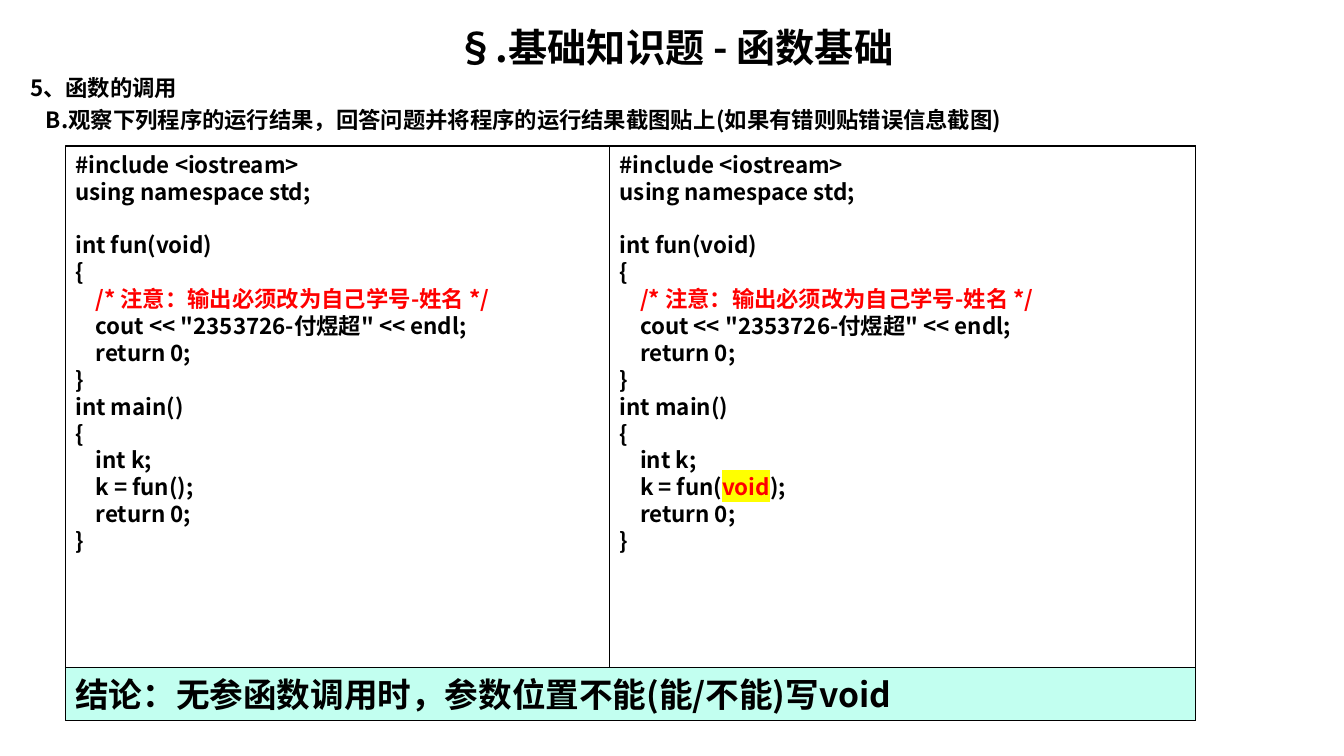
from dataclasses import dataclass

from lxml.etree import SubElement
from pptx import Presentation
from pptx.dml.color import RGBColor
from pptx.enum.shapes import MSO_SHAPE
from pptx.enum.text import MSO_ANCHOR, MSO_AUTO_SIZE, PP_ALIGN
from pptx.oxml.ns import qn
from pptx.util import Cm, Pt

FONT = "Noto Sans CJK SC"
COLORS = {"black": "000000", "red": "FF0000", "yellow": "FFFF00", "mint": "C2FFF0"}


@dataclass
class Span:
    text: str
    color: str = "black"
    highlight: str = ""


@dataclass
class Panel:
    left: float
    top: float
    width: float
    height: float
    lines: list[list[Span]]
    size: int = 16
    fill: str = ""
    anchor: MSO_ANCHOR = MSO_ANCHOR.TOP


def add_run(p, span: Span, size: int) -> None:
    r = p.add_run()
    r.text = span.text
    r.font.size = Pt(size)
    r.font.bold = True
    r.font.color.rgb = RGBColor.from_string(COLORS[span.color])
    rPr = r.font._element
    if span.highlight:
        mark = SubElement(rPr, qn("a:highlight"))
        SubElement(mark, qn("a:srgbClr"), val=COLORS[span.highlight])
    r.font.name = FONT
    SubElement(rPr, qn("a:ea"), typeface=FONT)


def write(tf, lines: list[list[Span]], size: int, gap: float = 0,
          align: PP_ALIGN = PP_ALIGN.LEFT, anchor: MSO_ANCHOR = MSO_ANCHOR.TOP) -> None:
    tf.word_wrap = True
    tf.auto_size = MSO_AUTO_SIZE.NONE
    tf.vertical_anchor = anchor
    for i, spans in enumerate(lines):
        p = tf.add_paragraph() if i else tf.paragraphs[0]
        p.alignment = align
        p.line_spacing = Pt(size * 1.2)
        p.space_before = Pt(gap if i else 0)
        p.font.size = Pt(size)
        for span in spans:
            add_run(p, span, size)


def add_panel(s, panel: Panel) -> None:
    sp = s.shapes.add_shape(MSO_SHAPE.RECTANGLE, Cm(panel.left), Cm(panel.top),
                            Cm(panel.width), Cm(panel.height))
    sp.shadow.inherit = False
    sp.line.color.rgb = RGBColor.from_string(COLORS["black"])
    sp.line.width = Pt(0.75)
    if panel.fill:
        sp.fill.solid()
        sp.fill.fore_color.rgb = RGBColor.from_string(COLORS[panel.fill])
    else:
        sp.fill.background()
    write(sp.text_frame, panel.lines, panel.size, anchor=panel.anchor)


def program(call: list[Span]) -> list[list[Span]]:
    before = ["#include <iostream>", "using namespace std;", "", "int fun(void)", "{"]
    note = Span("    /* 注意：输出必须改为自己学号-姓名 */", "red")
    middle = ['    cout << "2353726-付煜超" << endl;', "    return 0;", "}",
              "int main()", "{", "    int k;"]
    after = ["    return 0;", "}"]

    def plain(code: list[str]) -> list[list[Span]]:
        return [[Span(line)] if line else [] for line in code]

    return plain(before) + [[note]] + plain(middle) + [call] + plain(after)


def main() -> None:
    prs = Presentation()
    prs.slide_width, prs.slide_height = Cm(33.87), Cm(19.05)
    s = prs.slides.add_slide(prs.slide_layouts[5])

    title = s.shapes.title
    title.left, title.top, title.width, title.height = Cm(0.51), Cm(0.46), Cm(33), Cm(1.4)
    write(title.text_frame, [[Span("§.基础知识题 - 函数基础")]], 28, align=PP_ALIGN.CENTER)

    question = s.shapes.add_textbox(Cm(0.51), Cm(1.75), Cm(33), Cm(1.8))
    write(question.text_frame, [
        [Span("5、函数的调用")],
        [Span("B.观察下列程序的运行结果，回答问题并将程序的运行结果截图贴上(如果有错则贴错误信息截图)")],
    ], 16, gap=3.2)
    question.text_frame.paragraphs[1]._p.get_or_add_pPr().set("marL", str(Cm(0.4)))

    empty_call = [Span("    k = fun();")]
    void_call = [Span("    k = fun("), Span("void", "red", "yellow"), Span(");")]
    conclusion = [[Span("结论：无参函数调用时，参数位置不能(能/不能)写void")]]
    for panel in (
        Panel(1.65, 3.68, 28.47, 14.48, program(empty_call)),
        Panel(15.37, 3.68, 14.75, 14.48, program(void_call)),
        Panel(1.65, 16.81, 28.47, 1.35, conclusion, 24, "mint", MSO_ANCHOR.MIDDLE),
    ):
        add_panel(s, panel)

    prs.save("out.pptx")


if __name__ == "__main__":
    main()
